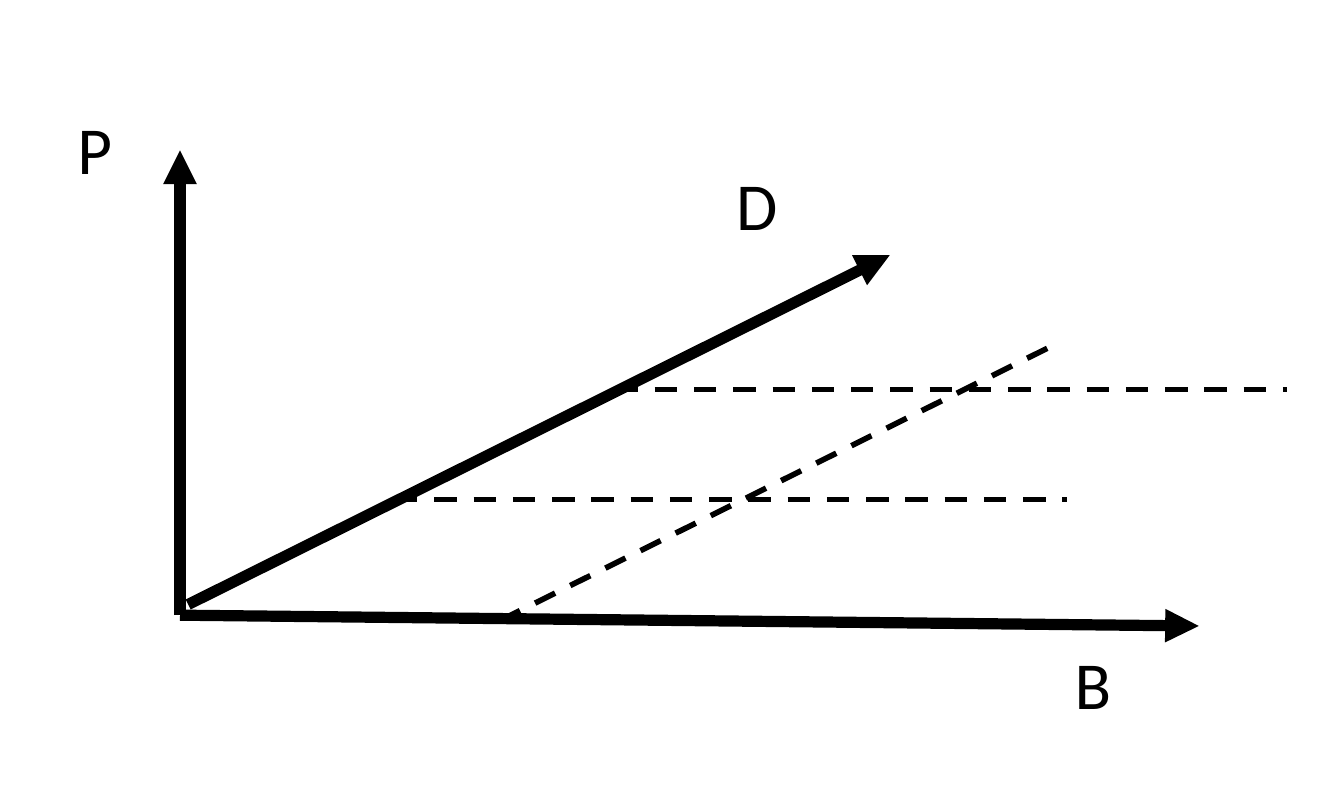
import pptx
import pptx.dml.color
import pptx.enum.dml
import pptx.enum.shapes
import pptx.enum.text
import pptx.oxml
import pptx.oxml.ns
import pptx.util
from pptx.util import Inches

INK = "000000"
FONT = "Calibri"


def color(hex_text):
    return pptx.dml.color.RGBColor.from_string(hex_text)


def add_line(slide, start, end, width):
    connector = slide.shapes.add_connector(
        pptx.enum.shapes.MSO_CONNECTOR.STRAIGHT,
        *(Inches(value) for value in (*start, *end)))
    connector.line.color.rgb = color(INK)
    connector.line.width = pptx.util.Pt(width)
    properties = connector._element.spPr
    properties.append(pptx.oxml.parse_xml(
        f'<a:effectLst {pptx.oxml.ns.nsdecls("a")}/>'))
    return connector


def add_axis(slide, start, end):
    connector = add_line(slide, start, end, 3)
    connector.line._get_or_add_ln().append(pptx.oxml.parse_xml(
        f'<a:tailEnd {pptx.oxml.ns.nsdecls("a")} type="triangle"/>'))


def add_guide(slide, start, end):
    connector = add_line(slide, start, end, 1.5)
    connector.line.dash_style = pptx.enum.dml.MSO_LINE.DASH


def add_label(slide, text, left, top, width):
    shape = slide.shapes.add_textbox(
        Inches(left), Inches(top), Inches(width), Inches(0.4))
    text_frame = shape.text_frame
    text_frame.word_wrap = False
    text_frame.auto_size = pptx.enum.text.MSO_AUTO_SIZE.SHAPE_TO_FIT_TEXT
    text_frame.text = text
    font = text_frame.paragraphs[0].runs[0].font
    font.name = FONT
    font.size = pptx.util.Pt(18)
    font.color.rgb = color(INK)


def add_axes_diagram(slide, left, top):
    def place(x, y):
        return left + x, top + y

    # Axes: base, depth and vertical
    origin = place(0.48, 1.94)
    add_axis(slide, origin, place(4.27, 1.98))
    add_axis(slide, place(0.51, 1.9), place(3.12, 0.6))
    add_axis(slide, origin, place(0.48, 0.21))

    # Axis labels
    for text, x, y, width in (("B", 3.71, 1.99, 0.34),
                              ("D", 2.45, 0.21, 0.36),
                              ("P", 0, 0, 0.33)):
        add_label(slide, text, *place(x, y), width)

    # Dashed guides: one along the depth axis, two level ones of equal length
    add_guide(slide, place(1.67, 1.96), place(3.76, 0.92))
    for x, y in ((1.28, 1.51), (2.1, 1.1)):
        add_guide(slide, place(x, y), place(x + 2.5, y))


presentation = pptx.Presentation()
presentation.slide_width = Inches(5)
presentation.slide_height = Inches(3)
slide = presentation.slides.add_slide(presentation.slide_layouts[6])
add_axes_diagram(slide, 0.19, 0.35)
presentation.save("out.pptx")
